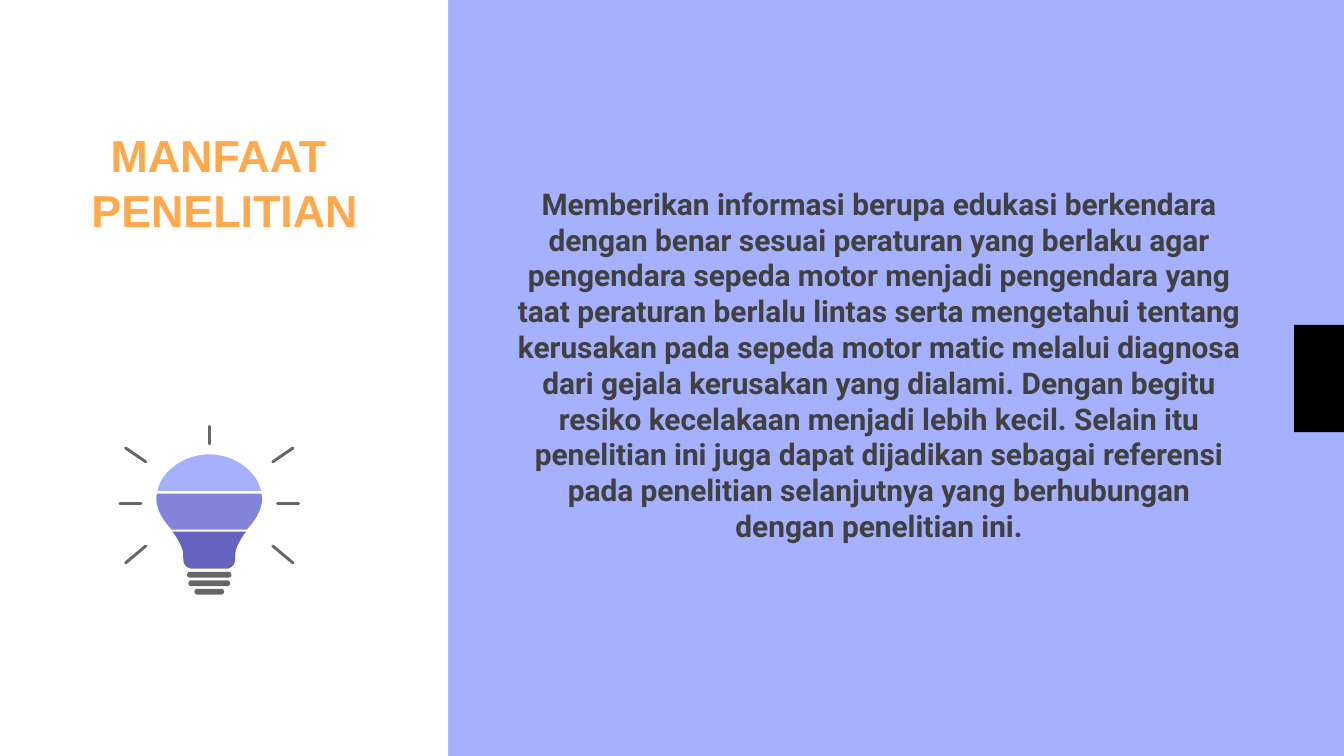
from lxml.etree import SubElement
from pptx import Presentation
from pptx.dml.color import RGBColor
from pptx.enum.shapes import MSO_CONNECTOR, MSO_SHAPE
from pptx.enum.text import PP_ALIGN
from pptx.oxml.ns import qn
from pptx.util import Cm, Pt

LILAC, VIOLET, INDIGO = "A5B0FE", "8184D9", "6463BD"
WHITE, BLACK, GREY, DARK, ORANGE = "FFFFFF", "000000", "666666", "404040", "FFA84C"

TITLE = "MANFAAT \nPENELITIAN"
BODY = (
    "Memberikan informasi berupa edukasi berkendara dengan benar sesuai peraturan "
    "yang berlaku agar pengendara sepeda motor menjadi pengendara yang taat peraturan "
    "berlalu lintas serta mengetahui tentang kerusakan pada sepeda motor matic melalui "
    "diagnosa dari gejala kerusakan yang dialami. Dengan begitu resiko kecelakaan "
    "menjadi lebih kecil. Selain itu penelitian ini juga dapat dijadikan sebagai "
    "referensi pada penelitian selanjutnya yang berhubungan dengan penelitian ini."
)

BULB_BANDS = [
    (LILAC, [[(0, 0.56), (0.32, 0.56), (0.64, 0.7), (0.85, 0.97)],
             [(0.85, 0.97), (0.91, 1.05), (0.95, 1.14), (0.98, 1.25)]]),
    (VIOLET, [[(0.98, 1.3), (1, 1.33), (1, 1.38), (1, 1.42)],
              [(1, 1.42), (0.98, 1.65), (0.85, 1.83), (0.71, 1.98)]]),
    (INDIGO, [[(0.7, 2.02), (0.64, 2.08), (0.59, 2.18), (0.54, 2.27)],
              [(0.54, 2.27), (0.49, 2.38), (0.49, 2.45), (0.49, 2.54)],
              [(0.49, 2.54), (0.49, 2.64), (0.42, 2.72), (0.32, 2.72)]]),
]
SIDE_RAYS = [(1.2, 0.7, 1.58, 0.44), (1.29, 1.49, 1.69, 1.49), (1.2, 2.29, 1.58, 2.61)]
SCREW_WIDTHS = [0.84, 0.79, 0.56]


def rgb(value):
    return RGBColor.from_string(value)


def paint(sp, color):
    sp.shadow.inherit = False
    sp.fill.solid()
    sp.fill.fore_color.rgb = rgb(color)
    sp.line.fill.background()


def add_block(s, kind, x, y, w, h, color):
    sp = s.shapes.add_shape(kind, Cm(x), Cm(y), Cm(w), Cm(h))
    paint(sp, color)
    return sp


def add_ray(s, x1, y1, x2, y2):
    ray = s.shapes.add_connector(MSO_CONNECTOR.STRAIGHT, Cm(x1), Cm(y1), Cm(x2), Cm(y2))
    ray.line.color.rgb = rgb(GREY)
    ray.line.width = Pt(1.6)
    ray.line._get_or_add_ln().set("cap", "rnd")
    SubElement(ray._element.spPr, qn("a:effectLst"))


def curve_points(curve, steps=12):
    for i in range(steps + 1):
        t = i / steps
        weights = ((1 - t) ** 3, 3 * t * (1 - t) ** 2, 3 * t * t * (1 - t), t ** 3)
        yield tuple(sum(k * pt[axis] for k, pt in zip(weights, curve)) for axis in (0, 1))


def add_band(s, cx, y, color, curves):
    right = [pt for curve in curves for pt in curve_points(curve)]
    outline = right + [(-dx, dy) for dx, dy in reversed(right)]
    points = [(Cm(cx + dx), Cm(y + dy)) for dx, dy in outline]
    builder = s.shapes.build_freeform(*points[0])
    builder.add_line_segments(points[1:], close=True)
    paint(builder.convert_to_shape(), color)


def add_bulb(s, x, y, w):
    cx = x + w / 2
    for color, curves in BULB_BANDS:
        add_band(s, cx, y, color, curves)
    add_ray(s, cx, y + 0.03, cx, y + 0.36)
    for side in (-1, 1):
        for x1, y1, x2, y2 in SIDE_RAYS:
            add_ray(s, cx + side * x1, y + y1, cx + side * x2, y + y2)
    for i, width in enumerate(SCREW_WIDTHS):
        screw = add_block(s, MSO_SHAPE.ROUNDED_RECTANGLE,
                          cx - width / 2, y + 2.78 + 0.16 * i, width, 0.11, GREY)
        screw.adjustments[0] = 0.5


def add_text(s, x, y, w, h, text, font, size, color, wrap, spacing=None):
    tf = s.shapes.add_textbox(Cm(x), Cm(y), Cm(w), Cm(h)).text_frame
    tf.word_wrap = wrap
    tf.text = text
    for p in tf.paragraphs:
        p.alignment = PP_ALIGN.CENTER
        p.line_spacing = spacing
        for r in p.runs:
            r.font.name = font
            r.font.size = Pt(size)
            r.font.bold = True
            r.font.color.rgb = rgb(color)


def add_title_panel(s, x, y, w, h):
    add_block(s, MSO_SHAPE.RECTANGLE, x, y, w, h, WHITE)
    add_bulb(s, x + 2.24, y + 8.03, 3.43)
    add_text(s, x + 1.45, y + 2.29, 5.59, 2.31, TITLE, "Arial", 24, ORANGE, False, Pt(29))


def add_body_panel(s, x, y, w, h):
    add_block(s, MSO_SHAPE.RECTANGLE, x + w - 0.94, y + 6.14, 0.94, 2.03, BLACK)
    add_text(s, x + 1.06, y + 3.38, 14.17, 7.09, BODY, "Roboto", 16, DARK, True)


def main():
    prs = Presentation()
    prs.slide_width, prs.slide_height = Cm(25.4), Cm(14.29)
    s = prs.slides.add_slide(prs.slide_layouts[6])
    s.background.fill.solid()
    s.background.fill.fore_color.rgb = rgb(LILAC)
    add_title_panel(s, 0, 0, 8.47, 14.29)
    add_body_panel(s, 8.47, 0, 16.93, 14.29)
    prs.save("out.pptx")


if __name__ == "__main__":
    main()
